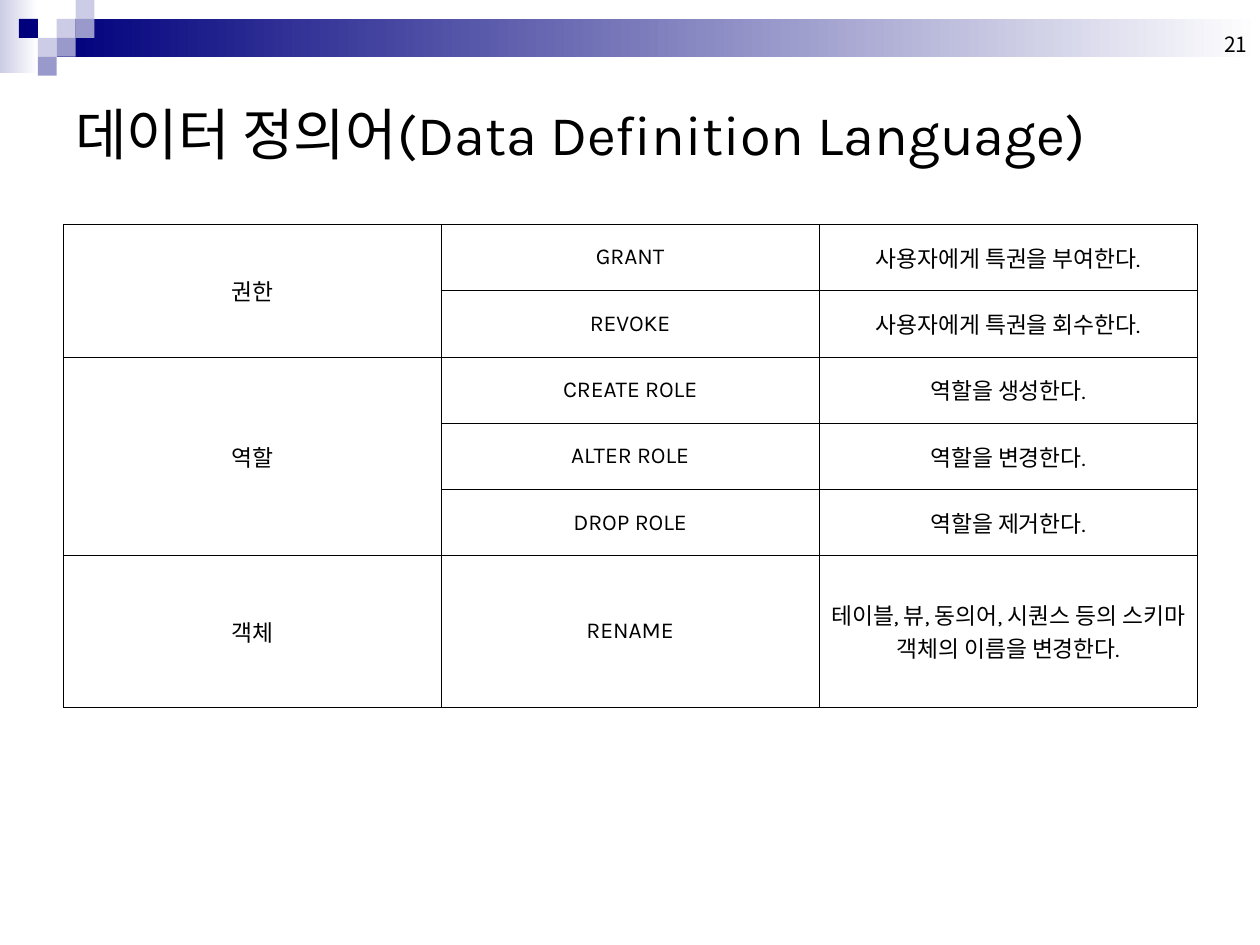
from lxml.etree import SubElement
from pptx import Presentation
from pptx.dml.color import RGBColor
from pptx.enum.shapes import MSO_SHAPE as Shape
from pptx.enum.text import MSO_ANCHOR as Anchor, PP_ALIGN as Align
from pptx.oxml import parse_xml
from pptx.oxml.ns import nsdecls, qn
from pptx.util import Inches, Pt

WIDTH, HEIGHT = 10, 7.5
LATIN, KOREAN = "Karla", "Noto Sans CJK KR"
BLACK, WHITE = "000000", "FFFFFF"
NAVY, LAVENDER, PALE = "00007D", "9999CC", "CCCCE6"
SQUARE = 0.15

# Column and row on the grid of small squares, and colour
SQUARES = [(3, 1, PALE), (4, 0, PALE), (4, 1, LAVENDER), (2, 2, PALE),
           (1, 1, NAVY), (3, 2, LAVENDER), (2, 3, LAVENDER)]

COMMAND_GROUPS = [
    ("권한", [("GRANT", "사용자에게 특권을 부여한다."),
            ("REVOKE", "사용자에게 특권을 회수한다.")]),
    ("역할", [("CREATE ROLE", "역할을 생성한다."),
            ("ALTER ROLE", "역할을 변경한다."),
            ("DROP ROLE", "역할을 제거한다.")]),
    ("객체", [("RENAME", "테이블, 뷰, 동의어, 시퀀스 등의 스키마 객체의 이름을 변경한다.")]),
]


def color(value):
    return RGBColor.from_string(value)


def inches(box):
    return [Inches(length) for length in box]


def write(frame, text, size, font=LATIN, align=Align.LEFT):
    paragraph = frame.paragraphs[0]
    paragraph.alignment = align
    run = paragraph.add_run()
    run.text = text
    for name, value in {"size": Pt(size), "name": font}.items():
        setattr(run.font, name, value)
    run.font.color.rgb = color(BLACK)
    SubElement(run._r.get_or_add_rPr(), qn("a:ea"), typeface=KOREAN)


def add_text(slide, box, text, size, anchor, **style):
    frame = slide.shapes.add_textbox(*inches(box)).text_frame
    frame.word_wrap = True
    frame.vertical_anchor = anchor
    write(frame, text, size, **style)


def add_block(slide, box, start, end=None):
    """Add a plain rectangle, shaded from left to right if end is given."""
    shape = slide.shapes.add_shape(Shape.RECTANGLE, *inches(box))
    shape.shadow.inherit = False
    shape.line.fill.background()
    if end is None:
        shape.fill.solid()
        shape.fill.fore_color.rgb = color(start)
        return
    shape.fill.gradient()
    shape.fill.gradient_angle = 0
    for stop, value, position in zip(shape.fill.gradient_stops, (start, end), (0, 1)):
        stop.color.rgb = color(value)
        stop.position = position


def add_banner(slide, box):
    left, top, width, height = box
    bar_left = 3 * SQUARE
    add_block(slide, (left, top, 2 * SQUARE, height), PALE, WHITE)
    add_block(slide, (left + bar_left, top + SQUARE, width - bar_left, 2 * SQUARE), NAVY, WHITE)
    for column, row, fill in SQUARES:
        add_block(slide, (left + column * SQUARE, top + row * SQUARE, SQUARE, SQUARE), fill)


def format_cell(cell):
    margins = {"margin_left": 0.04, "margin_right": 0.04, "margin_top": 0.05, "margin_bottom": 0.05}
    for name, value in margins.items():
        setattr(cell, name, Inches(value))
    cell.vertical_anchor = Anchor.MIDDLE
    cell.fill.background()
    properties = cell._tc.get_or_add_tcPr()
    for index, side in enumerate("LRTB"):
        properties.insert(index, parse_xml(
            f'<a:ln{side} {nsdecls("a")} w="{Pt(0.34)}"><a:solidFill>'
            f'<a:srgbClr val="{BLACK}"/></a:solidFill></a:ln{side}>'))


def add_command_table(slide, box, last_height):
    row_count = sum(len(commands) for _, commands in COMMAND_GROUPS)
    table = slide.shapes.add_table(row_count, 3, *inches(box)).table
    table.first_row = table.horz_banding = False
    for column in table.columns:
        column.width = Inches(box[2] / 3)
    for row in table.rows:
        row.height = Inches((box[3] - last_height) / (row_count - 1))
    table.rows[row_count - 1].height = Inches(last_height)
    for cell in table.iter_cells():
        format_cell(cell)

    def fill_cell(row, column, text):
        write(table.cell(row, column).text_frame, text, 13, align=Align.CENTER)

    first = 0
    for group, commands in COMMAND_GROUPS:
        last = first + len(commands) - 1
        if last > first:
            table.cell(first, 0).merge(table.cell(last, 0))
        fill_cell(first, 0, group)
        for row, texts in enumerate(commands, first):
            for column, text in enumerate(texts, 1):
                fill_cell(row, column, text)
        first = last + 1


def main():
    presentation = Presentation()
    presentation.slide_width, presentation.slide_height = inches((WIDTH, HEIGHT))
    slide = presentation.slides.add_slide(presentation.slide_layouts[6])
    margin = WIDTH / 20
    content_width = WIDTH - 2 * margin

    add_banner(slide, (0, 0, WIDTH, 0.58))
    add_text(slide, (7.67, 0, 2.33, 0.5), "21", 12, Anchor.BOTTOM, font=KOREAN, align=Align.RIGHT)
    add_text(slide, (margin, 0.5, content_width, 1.12),
             "데이터 정의어(Data Definition Language)", 32, Anchor.MIDDLE)
    add_command_table(slide, (margin, 1.78, content_width, 3.83), last_height=1.2)
    presentation.save("out.pptx")


if __name__ == "__main__":
    main()
